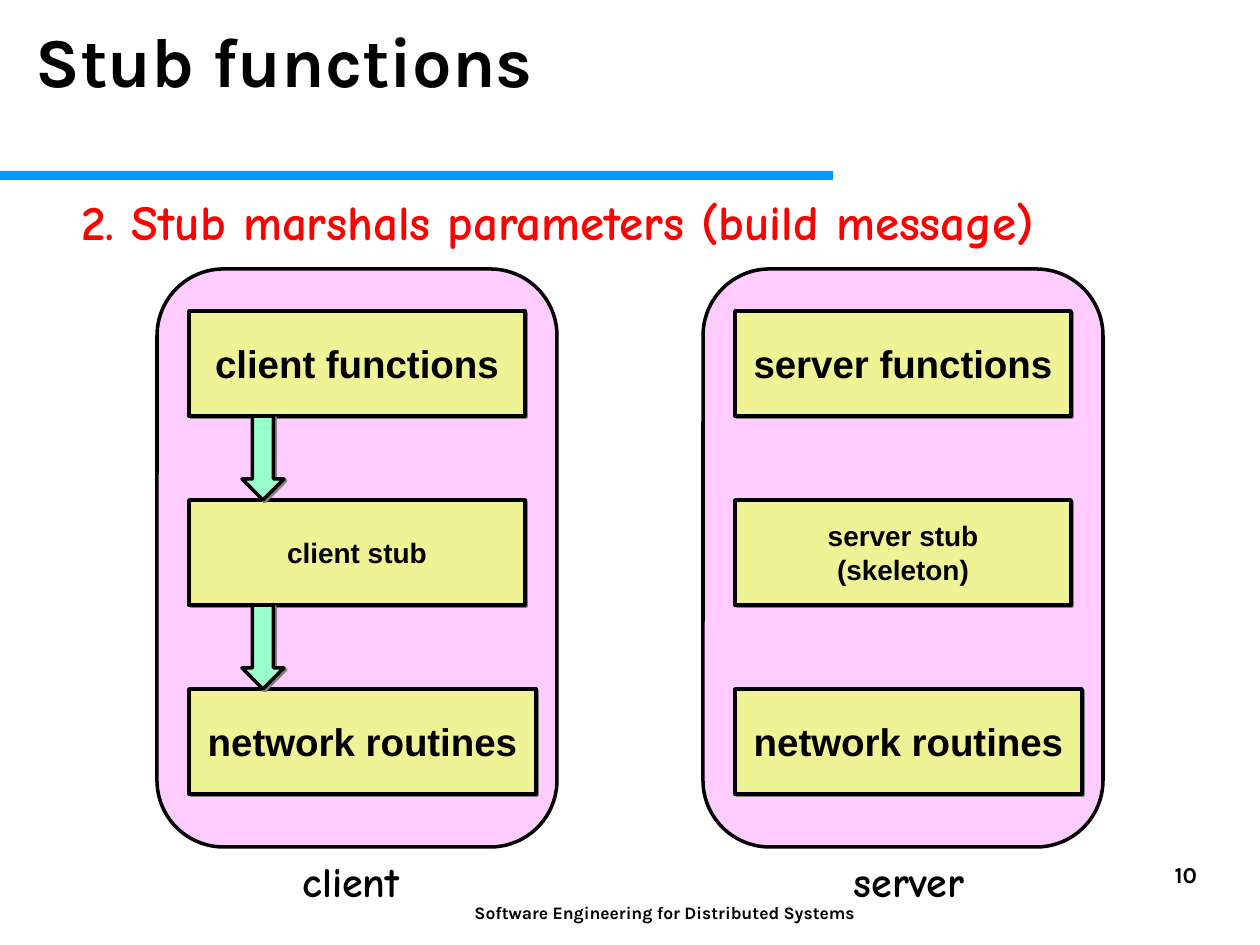
from lxml.etree import SubElement
from pptx import Presentation
from pptx.dml.color import RGBColor
from pptx.enum.shapes import MSO_SHAPE
from pptx.enum.text import MSO_ANCHOR, MSO_AUTO_SIZE, PP_ALIGN
from pptx.oxml.ns import qn
from pptx.util import Emu, Pt

COLORS = {
    "black": "000000",
    "rule": "0099FF",
    "panel": "FFCCFF",
    "box": "F0F296",
    "arrow": "99FFCC",
    "shadow": "808080",
    "step": "FF0000",
}
HEADING, HAND, LABEL = "Karla", "Comic Neue", "Arial"
PIXELS_PER_INCH = 126


def px(length):
    return Emu(round(length * 914400 / PIXELS_PER_INCH))


def color(name):
    return RGBColor.from_string(COLORS[name])


class SlideBuilder:
    def __init__(self, page):
        self.page = page

    def fill_text(self, frame, text, font, size, align, ink="black", spacing=1.0):
        para = frame.paragraphs[0]
        para.alignment = align
        para.line_spacing = spacing
        for index, line in enumerate(text.split("\n")):
            if index:
                para.add_line_break()
            span = para.add_run()
            span.text = line
            span.font.name = font
            span.font.size = Pt(size)
            span.font.bold = True
            span.font.color.rgb = color(ink)

    def title(self, text, left, top, width, height):
        box = self.page.shapes.title
        box.left, box.top, box.width, box.height = map(px, (left, top, width, height))
        frame = box.text_frame
        frame.auto_size = MSO_AUTO_SIZE.NONE
        frame.vertical_anchor = MSO_ANCHOR.TOP
        self.fill_text(frame, text, HEADING, 40, PP_ALIGN.LEFT, spacing=1.01)

    def text(self, text, area, font, size, align, ink="black", inset=True, spacing=1.0):
        frame = self.page.shapes.add_textbox(*map(px, area)).text_frame
        frame.word_wrap = not inset
        if not inset:
            frame.margin_left = frame.margin_right = 0
            frame.margin_top = frame.margin_bottom = 0
        self.fill_text(frame, text, font, size, align, ink, spacing)

    def shape(self, kind, area, fill, outlined=True, shadow=False):
        shape = self.page.shapes.add_shape(kind, *map(px, area))
        shape.shadow.inherit = False
        shape.fill.solid()
        shape.fill.fore_color.rgb = color(fill)
        if outlined:
            shape.line.color.rgb = color("black")
            shape.line.width = Pt(2)
        else:
            shape.line.fill.background()
        if shadow:
            effects = shape._element.spPr.find(qn("a:effectLst"))
            outer = SubElement(effects, qn("a:outerShdw"), blurRad="0",
                               dist=str(Pt(1.4)), dir=str(45 * 60000),
                               algn="ctr", rotWithShape="0")
            SubElement(outer, qn("a:srgbClr"), val=COLORS["shadow"])
        return shape

    def layer(self, text, size, left, top, width, height):
        box = self.shape(MSO_SHAPE.RECTANGLE, (left, top, width, height), "box", shadow=True)
        frame = box.text_frame
        frame.word_wrap = False
        frame.vertical_anchor = MSO_ANCHOR.MIDDLE
        self.fill_text(frame, text, LABEL, size, PP_ALIGN.CENTER)


def main():
    deck = Presentation()
    deck.slide_width, deck.slide_height = px(1260), px(945)
    slide = SlideBuilder(deck.slides.add_slide(deck.slide_layouts[5]))

    # Header and footer
    slide.shape(MSO_SHAPE.RECTANGLE, (0, 171, 833, 9), "rule", outlined=False)
    slide.title("Stub functions", 23, 10, 1218, 84)
    slide.text("Software Engineering for Distributed Systems", (431, 902, 467, 47),
               HEADING, 10, PP_ALIGN.CENTER, inset=False, spacing=1.01)
    slide.text("10", (903, 861, 294, 66), HEADING, 13, PP_ALIGN.RIGHT,
               inset=False, spacing=1.01)

    # Current step
    slide.text("2. Stub marshals parameters (build message)", (69, 185, 980, 72),
               HAND, 28, PP_ALIGN.LEFT, ink="step")

    # Client and server stacks
    panel_left, panel_step = 157, 546
    first_top, layer_step, layer_height = 311, 189, 105
    stacks = [
        ("client", 290, 122, ["client functions", "client stub", "network routines"]),
        ("server", 841, 136, ["server functions", "server stub\n(skeleton)", "network routines"]),
    ]
    layer_styles = [(22, 336), (16, 336), (22, 347)]
    for column, (name, name_left, name_width, layers) in enumerate(stacks):
        left = panel_left + column * panel_step
        slide.shape(MSO_SHAPE.ROUNDED_RECTANGLE, (left, 269, 400, 578), "panel")
        slide.text(name, (name_left, 849, name_width, 63), HAND, 24, PP_ALIGN.CENTER)
        for row, (text, (size, width)) in enumerate(zip(layers, layer_styles)):
            slide.layer(text, size, left + 32, first_top + row * layer_step,
                        width, layer_height)

    # Calls passed down the client stack
    for row in range(2):
        top = first_top + row * layer_step + layer_height
        slide.shape(MSO_SHAPE.DOWN_ARROW, (242, top, 42, layer_step - layer_height),
                    "arrow", shadow=True)

    deck.save("out.pptx")


if __name__ == "__main__":
    main()
